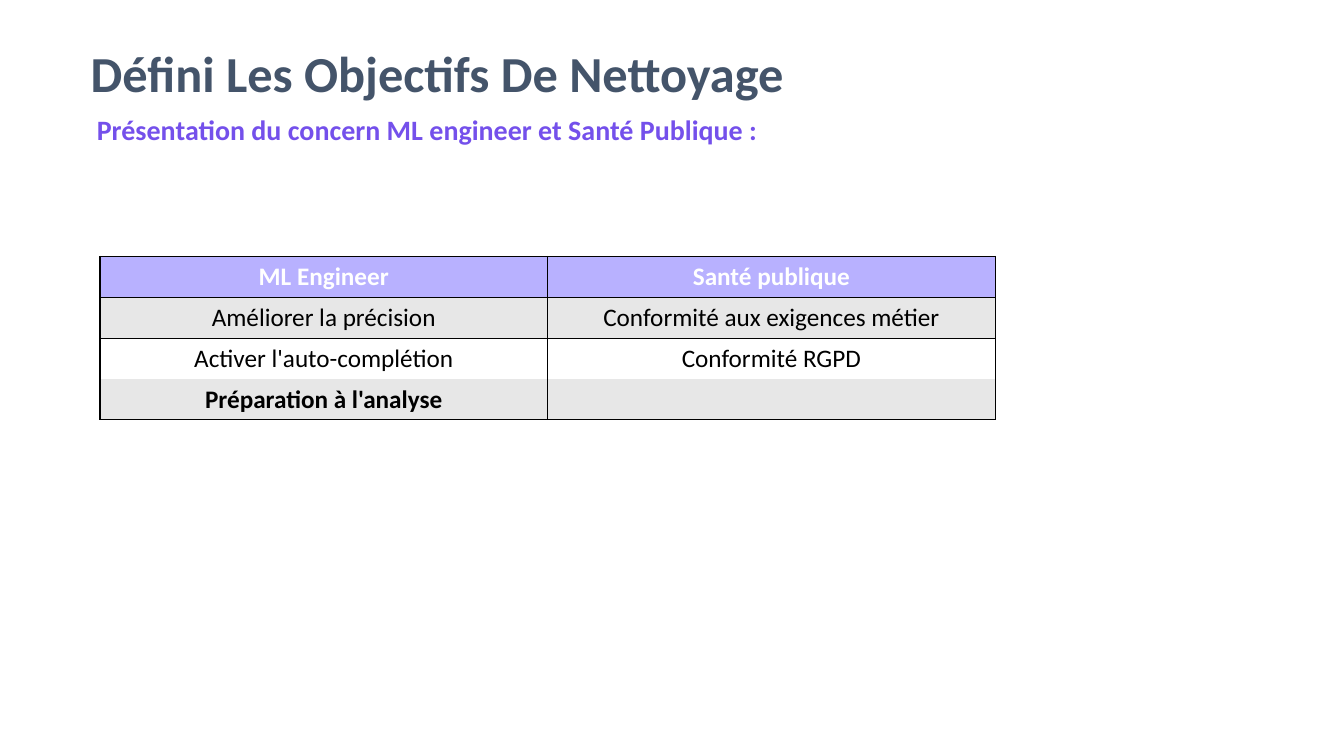
"""Build the slide on the cleaning goals of two teams."""
import pptx
import pptx.util
import pptx.dml.color
import pptx.enum.text
import pptx.oxml
import pptx.oxml.ns

Cm, Pt = pptx.util.Cm, pptx.util.Pt
ALIGN = pptx.enum.text.PP_ALIGN
ANCHOR = pptx.enum.text.MSO_ANCHOR
SIZING = pptx.enum.text.MSO_AUTO_SIZE

TITLE = "Défini Les Objectifs De Nettoyage"
LEAD = "Présentation du concern ML engineer et Santé Publique :"
GOALS = [
    ("ML Engineer", "Santé publique"),
    ("Améliorer la précision", "Conformité aux exigences métier"),
    ("Activer l'auto-complétion", "Conformité RGPD"),
    ("Préparation à l'analyse", ""),
]
FILLS = ["B8B1FF", "E7E7E7", "FFFFFF", "E7E7E7"]
SIDES = ["LRTB", "LRTB", "LRT", "LRB"]
INK = "000000"
COL, ROW = Cm(11.28), Cm(1.03)

TITLE_FONT = {"size": Pt(36), "bold": True, "color": "44546A"}
LEAD_FONT = {"size": Pt(20), "bold": True, "color": "7450EB"}
HEAD_FONT = {"size": Pt(18), "bold": True, "color": "FFFFFF"}
CELL_FONT = {"size": Pt(18), "bold": False, "color": INK}
LAST_FONT = {**CELL_FONT, "bold": True}
FONTS = [HEAD_FONT, CELL_FONT, CELL_FONT, LAST_FONT]


def paint(target, code):
    """Give a font or a fill its colour."""
    target.rgb = pptx.dml.color.RGBColor.from_string(code)


def assign(item, values):
    """Set each named value on the item."""
    for name, value in values.items():
        setattr(item, name, value)


def write(frame, text, style, align):
    """Write one styled line into a text frame."""
    line = frame.paragraphs[0]
    line.alignment = align
    if not text:
        line.font.size = style["size"]
        return
    run = line.add_run()
    run.text = text
    run.font.name = "Calibri"
    assign(run.font, {k: v for k, v in style.items() if k != "color"})
    paint(run.font.color, style["color"])


def edge(cell, sides):
    """Draw the named sides of a cell and clear the others."""
    space = pptx.oxml.ns.nsdecls("a")
    solid = f'<a:solidFill><a:srgbClr val="{INK}"/></a:solidFill>'
    for spot, side in enumerate("LRTB"):
        fill = solid if side in sides else "<a:noFill/>"
        line = f'<a:ln{side} {space} w="12700">{fill}</a:ln{side}>'
        cell._tc.get_or_add_tcPr().insert(spot, pptx.oxml.parse_xml(line))


def main():
    """Lay out the slide and save it."""
    deck = pptx.Presentation()
    assign(deck, {"slide_width": Cm(33.87), "slide_height": Cm(19.05)})
    slide = deck.slides.add_slide(deck.slide_layouts[5])

    title = slide.shapes.title
    assign(title, {"left": Cm(2.03), "top": Cm(0.58),
                   "width": Cm(25.35), "height": Cm(2.69)})
    assign(title.text_frame, {"vertical_anchor": ANCHOR.MIDDLE,
                              "auto_size": SIZING.NONE})
    write(title.text_frame, TITLE, TITLE_FONT, ALIGN.LEFT)
    title.text_frame.paragraphs[0].line_spacing = 0.9

    lead = slide.shapes.add_textbox(Cm(2.03), Cm(2.72), Cm(31), Cm(1.11))
    assign(lead.text_frame, {"word_wrap": True, "margin_left": Cm(0.41),
                             "auto_size": SIZING.SHAPE_TO_FIT_TEXT})
    write(lead.text_frame, LEAD, LEAD_FONT, ALIGN.LEFT)

    rows, cols = len(GOALS), len(GOALS[0])
    table = slide.shapes.add_table(rows, cols, Cm(2.52), Cm(6.46),
                                   COL * cols, ROW * rows).table
    table.horz_banding = False
    for r, goals in enumerate(GOALS):
        for c, goal in enumerate(goals):
            cell = table.cell(r, c)
            cell.fill.solid()
            paint(cell.fill.fore_color, FILLS[r])
            edge(cell, SIDES[r])
            write(cell.text_frame, goal, FONTS[r], ALIGN.CENTER)

    deck.save("out.pptx")


if __name__ == "__main__":
    main()
